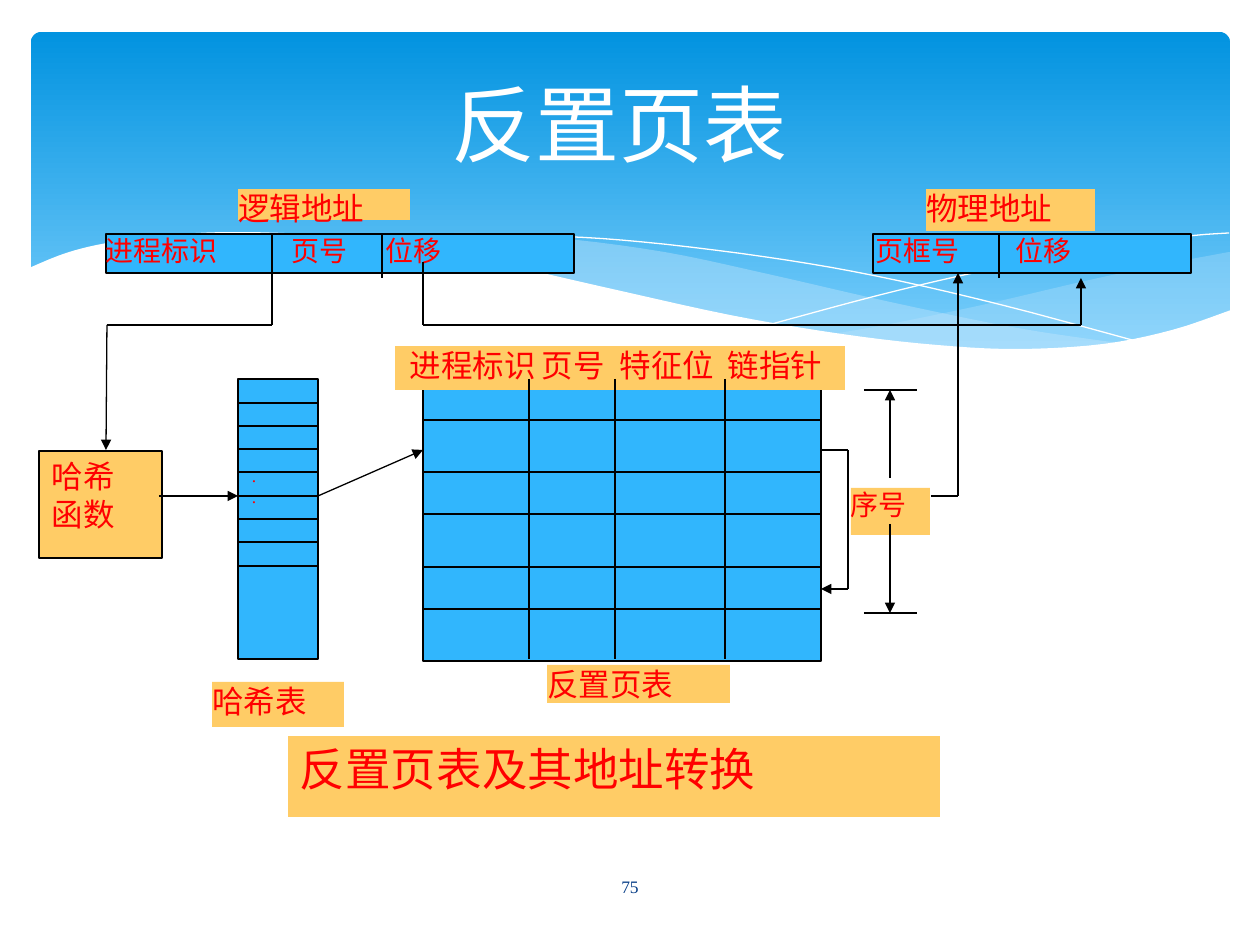
from lxml.etree import SubElement
from pptx import Presentation
from pptx.dml.color import RGBColor
from pptx.enum.shapes import MSO_CONNECTOR, MSO_SHAPE
from pptx.enum.text import MSO_ANCHOR, PP_ALIGN
from pptx.oxml.ns import qn
from pptx.util import Pt

PX = 914400 / 126
WHITE = RGBColor(0xFF, 0xFF, 0xFF)
BLACK = RGBColor(0, 0, 0)
RED = RGBColor(0xFF, 0, 0)
BLUE = RGBColor(0x31, 0xB6, 0xFD)
AMBER = RGBColor(0xFF, 0xCC, 0x66)
PALE = RGBColor(0xC6, 0xE7, 0xFC)
SKY_TOP = RGBColor(0x02, 0x93, 0xE0)
SKY_END = RGBColor(0x83, 0xD3, 0xFE)
NAVY = RGBColor(0x07, 0x3E, 0x87)
CJK = "Noto Sans CJK JP"
SERIF = "Times New Roman"


def px(n):
    return round(n * PX)


def put_text(sp, text, size, color=RED, font=CJK, inset=(0, 0, 0, 0),
             align=PP_ALIGN.LEFT, anchor=MSO_ANCHOR.TOP, tabs=()):
    tf = sp.text_frame
    tf.word_wrap = True
    tf.vertical_anchor = anchor
    tf.margin_left, tf.margin_top, tf.margin_right, tf.margin_bottom = map(px, inset)
    tf.text = text
    for p in tf.paragraphs:
        p.alignment = align
        if tabs:
            stops = SubElement(p._p.get_or_add_pPr(), qn("a:tabLst"))
            for pos in tabs:
                SubElement(stops, qn("a:tab"), pos=str(px(pos)), algn="l")
        for r in p.runs:
            r.font.size, r.font.name, r.font.color.rgb = Pt(size), font, color
            SubElement(r._r.get_or_add_rPr(), qn("a:ea"), typeface=font)


def add_box(s, x, y, w, h, fill, line=None, width=0.75, shape=MSO_SHAPE.RECTANGLE):
    sp = s.shapes.add_shape(shape, px(x), px(y), px(w), px(h))
    sp.shadow.inherit = False
    if fill:
        sp.fill.solid()
        sp.fill.fore_color.rgb = fill
    if line is None:
        sp.line.fill.background()
    else:
        sp.line.color.rgb, sp.line.width = line, Pt(width)
    return sp


def add_label(s, x, y, w, h, text, size=18, **kw):
    put_text(add_box(s, x, y, w, h, AMBER), text, size, **kw)


def add_line(s, x1, y1, x2, y2, width=0.75, arrow=False):
    c = s.shapes.add_connector(MSO_CONNECTOR.STRAIGHT, px(x1), px(y1), px(x2), px(y2))
    c.line.color.rgb, c.line.width = BLACK, Pt(width)
    if arrow:
        SubElement(c.line._get_or_add_ln(), qn("a:tailEnd"), type="triangle")
    SubElement(c._element.spPr, qn("a:effectLst"))


def add_route(s, *points):
    """Run line segments through the points, with an arrowhead on the last."""
    for i, (a, b) in enumerate(zip(points, points[1:])):
        add_line(s, *a, *b, arrow=i == len(points) - 2)


def smooth(points, steps=5):
    """Sample a Catmull-Rom curve through the points."""
    ends = [points[0], *points, points[-1]]
    curve = [points[0]]
    for a, b, c, d in zip(ends, ends[1:], ends[2:], ends[3:]):
        for t in (i / steps for i in range(1, steps + 1)):
            curve.append(tuple(
                (2 * q + (r - p) * t + (2 * p - 5 * q + 4 * r - u) * t ** 2
                 + (3 * q - p - 3 * r + u) * t ** 3) / 2
                for p, q, r, u in zip(a, b, c, d)))
    return curve


def add_wave(s, x, y, points, fill=None, alpha=100):
    pts = [(px(x + a), px(y + b)) for a, b in points]
    fb = s.shapes.build_freeform(*pts[0])
    fb.add_line_segments(pts[1:], close=fill is not None)
    sp = fb.convert_to_shape()
    sp.shadow.inherit = False
    if fill is None:
        sp.fill.background()
        sp.line.color.rgb, sp.line.width = WHITE, 0
        return
    sp.line.fill.background()
    sp.fill.solid()
    sp.fill.fore_color.rgb = fill
    if alpha < 100:
        clr = sp._element.spPr.find(qn("a:solidFill"))[0]
        SubElement(clr, qn("a:alpha"), val=str(alpha * 1000))


def banner(s, x, y, w, h):
    sky = add_box(s, x, y, w, h, None, shape=MSO_SHAPE.ROUNDED_RECTANGLE)
    sky.adjustments[0] = 0.03
    sky.fill.gradient()
    sky.fill.gradient_angle = 270
    for stop, color in zip(sky.fill.gradient_stops, (SKY_TOP, SKY_END)):
        stop.color.rgb = color
    # Translucent waves
    add_wave(s, x, y, smooth([(1198, 220), (1129, 233), (1054, 249), (951, 273),
                              (859, 292), (802, 302)])
             + smooth([(802, 302), (874, 312), (953, 317), (1033, 316), (1099, 308),
                       (1156, 295), (1199, 279)]) + [(1199, 220)], PALE, 29)
    add_wave(s, x, y, smooth([(1094, 312), (986, 296), (859, 270), (741, 243), (633, 220),
                              (525, 206), (424, 201), (329, 209)])
             + smooth([(329, 209), (400, 219), (478, 234), (588, 260), (726, 289),
                       (845, 308), (958, 318), (1049, 317), (1094, 312)]), PALE, 40)
    # Hairline crests
    add_wave(s, x, y, smooth([(358, 214), (420, 206), (514, 204), (612, 210), (735, 225),
                              (845, 244), (971, 273), (1112, 311)]))
    add_wave(s, x, y, smooth([(741, 292), (845, 264), (947, 240), (1060, 219),
                              (1150, 205), (1198, 201)]))
    # White lower edge
    add_wave(s, x, y, smooth([(1200, 278), (1141, 298), (1072, 312), (988, 317), (906, 313),
                              (811, 302), (699, 283), (568, 254), (429, 223), (310, 205),
                              (212, 200), (135, 203), (76, 211), (35, 221), (-2, 236)])
             + [(-2, 383), (1200, 383)], WHITE)


def title(s, x, y, w, h):
    sp = s.shapes.add_textbox(px(x), px(y), px(w), px(h))
    put_text(sp, "反置页表", 48, WHITE, inset=(0, 0, 0, 100),
             align=PP_ALIGN.CENTER, anchor=MSO_ANCHOR.MIDDLE)


def address_bar(s, x, y, w, h, fields, tabs, dividers, inset=0):
    sp = add_box(s, x, y, w, h, BLUE, BLACK, 1.5)
    put_text(sp, "\t".join(fields), 16, inset=(inset, 0, 0, 0), tabs=tabs)
    for dx in dividers:
        add_line(s, x + dx, y, x + dx, y + h + 5, 1.5)


def hash_table(s, x, y, w, h):
    sp = add_box(s, x, y, w, h, BLUE, BLACK)
    put_text(sp, "·\n·", 10, font=SERIF, inset=(13, 91, 13, 6))
    for i in range(8):
        row = y + 24 + i * 163 // 7
        add_line(s, x, row, x + w, row)
    add_label(s, x - 26, y + 303, 132, 45, "哈希表")


def page_table(s, x, y, w, h):
    add_box(s, x, y, w, h, BLUE, BLACK, 1.5)
    add_label(s, x - 28, y - 38, 450, 44, "进程标识\t页号\t特征位\t链指针",
              inset=(15, 0, 0, 0), tabs=(132, 210, 318))
    for dx in (106, 192, 302):
        add_line(s, x + dx, y - 5, x + dx, y + h - 2)
    for dy in (36, 88, 130, 183, 225):
        add_line(s, x, y + dy, x + w, y + dy)
    add_label(s, x + 124, y + 281, 183, 38, "反置页表")
    # Chain pointer from one entry to a later one
    right, out = x + w, x + w + 27
    add_route(s, (right, y + 66), (out, y + 66), (out, y + 205), (right, y + 205))


def index_span(s, x, y, w, h):
    mid = x + 26
    for edge in (y, y + h):
        add_line(s, x, edge, x + w, edge, 1.5)
    add_label(s, x - 13, y + 98, 79, 47, "序号", 16)
    add_line(s, mid, y + 88, mid, y, arrow=True)
    add_line(s, mid, y + 134, mid, y + h, arrow=True)


def hash_function(s, x, y, w, h):
    sp = add_box(s, x, y, w, h, AMBER, BLACK)
    put_text(sp, "哈希\n函数", 18, inset=(13, 6, 13, 6))


def routes(s):
    add_route(s, (272, 278), (272, 325), (107, 325), (106, 450))
    add_route(s, (159, 496), (238, 496))
    add_route(s, (318, 496), (423, 450))
    add_route(s, (423, 262), (423, 325), (1081, 325), (1081, 278))
    add_route(s, (931, 496), (958, 496), (958, 273))


def caption(s, x, y, w, h):
    sp = add_box(s, x, y, w, h, AMBER, WHITE)
    put_text(sp, "反置页表及其地址转换", 26, inset=(13, 6, 13, 6))


def page_number(s, x, y, w, h):
    sp = s.shapes.add_textbox(px(x), px(y), px(w), px(h))
    put_text(sp, "75", 10, NAVY, SERIF, (13, 6, 13, 6), PP_ALIGN.CENTER, MSO_ANCHOR.MIDDLE)


def main():
    prs = Presentation()
    prs.slide_width, prs.slide_height = px(1260), px(945)
    s = prs.slides.add_slide(prs.slide_layouts[6])
    banner(s, 31, 32, 1199, 340)
    title(s, 84, 94, 1071, 158)
    address_bar(s, 106, 234, 468, 39, ("进程标识", "页号", "位移"), (186, 280), (166, 276))
    address_bar(s, 873, 234, 318, 39, ("页框号", "位移"), (140,), (126,), inset=3)
    add_label(s, 238, 189, 172, 31, "逻辑地址")
    add_label(s, 926, 189, 169, 42, "物理地址")
    page_table(s, 423, 384, 398, 277)
    index_span(s, 864, 390, 53, 223)
    hash_table(s, 238, 379, 80, 280)
    hash_function(s, 39, 451, 123, 107)
    routes(s)
    caption(s, 287, 735, 654, 83)
    page_number(s, 550, 862, 160, 50)
    prs.save("out.pptx")


if __name__ == "__main__":
    main()
